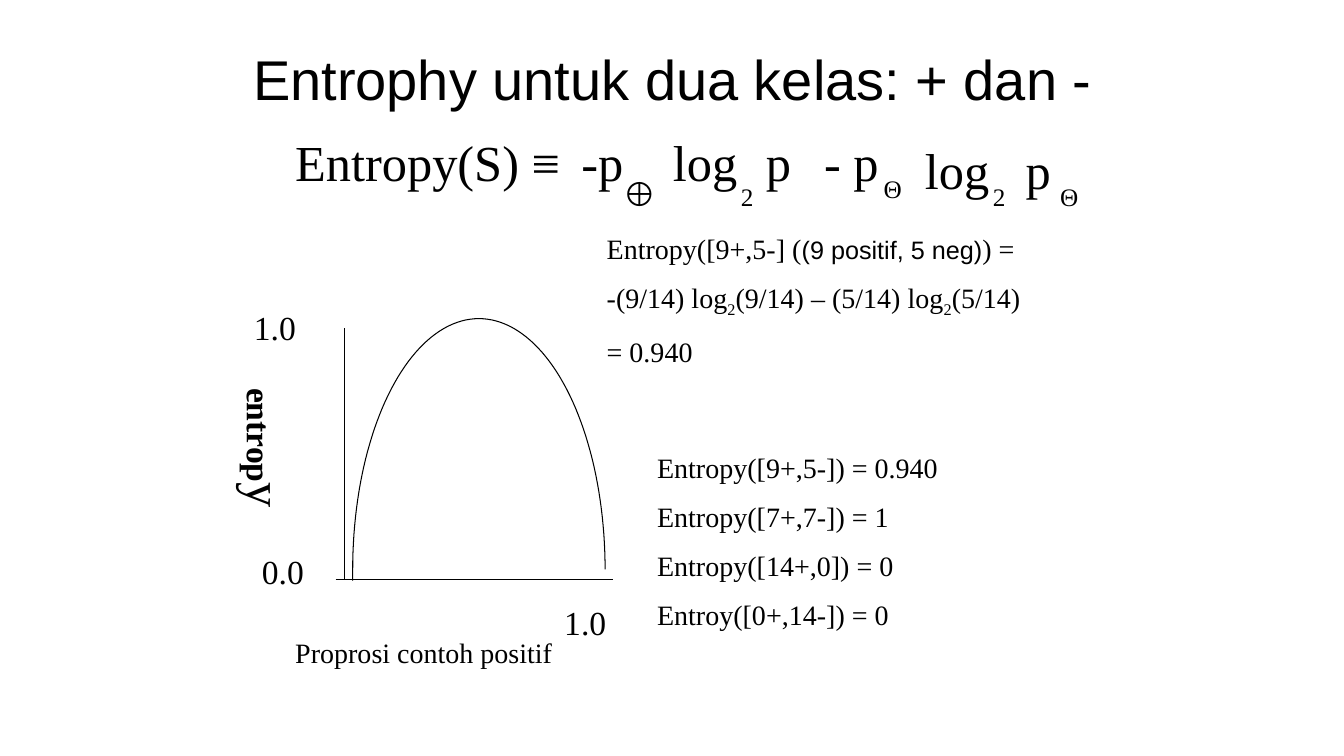
from dataclasses import dataclass
from math import cos, pi, sin

from lxml.etree import SubElement
from pptx import Presentation
from pptx.dml.color import RGBColor
from pptx.enum.shapes import MSO_CONNECTOR
from pptx.enum.text import MSO_ANCHOR as Anchor, PP_ALIGN as Align
from pptx.oxml.ns import qn
from pptx.util import Cm, Pt

COLORS = {"ink": "000000", "paper": "FFFFFF"}
SERIF, SANS = "Times New Roman", "Arial"
INK = RGBColor.from_string(COLORS["ink"])
LINE_WIDTH = Pt(0.75)


@dataclass(frozen=True)
class Run:
    text: str
    size: float | None = None
    font: str | None = None
    bold: bool = False
    subscript: bool = False


@dataclass(frozen=True)
class Label:
    text: str
    left: float
    top: float
    width: float
    height: float
    size: float


@dataclass(frozen=True)
class Axis:
    x1: float
    y1: float
    x2: float
    y2: float


EQUATION = [
    Label("Entropy(S) ≡", 7.19, 3.18, 7.42, 1.78, 36),
    Label("-p", 14.4, 3.18, 2.54, 1.78, 36),
    Label("⊕", 15.44, 4.24, 1.17, 1.27, 24),
    Label("log", 16.71, 3.18, 2.34, 1.78, 36),
    Label("2", 18.42, 4.45, 1.27, 1.02, 18),
    Label("p", 19.05, 3.18, 2.54, 1.78, 36),
    Label("- p", 20.52, 3.18, 2.54, 1.78, 36),
    Label("Θ", 22.02, 4.24, 0.99, 1.02, 18),
    Label("log", 23.06, 3.38, 2.34, 1.78, 36),
    Label("2", 24.77, 4.45, 1.47, 1.02, 18),
    Label("p", 25.6, 3.38, 1.9, 1.78, 36),
    Label("Θ", 26.47, 4.45, 0.99, 1.02, 18),
]
CHART_LABELS = [
    Label("1.0", 6.15, 7.62, 3.61, 1.27, 24),
    Label("0.0", 6.35, 13.77, 3.61, 1.27, 24),
    Label("1.0", 13.97, 15.04, 3.61, 1.27, 24),
    Label("Proprosi contoh positif", 7.19, 15.88, 10.36, 1.09, 20),
]
AXES = [Axis(8.46, 14.6, 15.44, 14.6), Axis(8.69, 14.6, 8.69, 8.26)]
EXAMPLES = [
    "Entropy([9+,5-]) = 0.940",
    "Entropy([7+,7-]) = 1",
    "Entropy([14+,0]) = 0",
    "Entroy([0+,14-]) = 0",
]
CALCULATION = [
    [Run("Entropy([9+,5-] ("), Run("(9 positif, 5 neg)", 18, SANS), Run(") =")],
    [
        Run("-(9/14) log"),
        Run("2", subscript=True),
        Run("(9/14) – (5/14) log"),
        Run("2", subscript=True),
        Run("(5/14)"),
    ],
    [Run("= 0.940")],
]


def add_text(slide, paragraphs: list[list[Run]], left: float, top: float,
             width: float, height: float, *, size: float, font: str = SERIF,
             align: Align = Align.LEFT, anchor: Anchor = Anchor.TOP,
             gap: float = 0, vertical: bool = False) -> None:
    box = slide.shapes.add_textbox(Cm(left), Cm(top), Cm(width), Cm(height))
    frame = box.text_frame
    frame.word_wrap = True
    frame.vertical_anchor = anchor
    if vertical:
        frame._txBody.bodyPr.set("vert", "eaVert")
    for index, runs in enumerate(paragraphs):
        paragraph = frame.add_paragraph() if index else frame.paragraphs[0]
        paragraph.alignment = align
        if index:
            paragraph.space_before = Pt(gap)
        for part in runs:
            run = paragraph.add_run()
            run.text = part.text
            run.font.name = part.font or font
            run.font.size = Pt(part.size or size)
            run.font.bold = part.bold
            run.font.color.rgb = INK
            if part.subscript:
                run.font._element.set("baseline", "-25000")


def add_label(slide, label: Label) -> None:
    add_text(slide, [[Run(label.text)]], label.left, label.top,
             label.width, label.height, size=label.size)


def add_axis(slide, axis: Axis) -> None:
    line = slide.shapes.add_connector(
        MSO_CONNECTOR.STRAIGHT, Cm(axis.x1), Cm(axis.y1), Cm(axis.x2), Cm(axis.y2))
    line.line.color.rgb = INK
    line.line.width = LINE_WIDTH
    SubElement(line._element.spPr, qn("a:effectLst"))


def add_entropy_curve(slide, center_x: float, base_y: float, radius_x: float,
                      radius_y: float, end_y: float, steps: int = 90) -> None:
    angles = [pi * step / steps for step in range(steps + 1)]
    points = [(Cm(center_x + radius_x * cos(a)), Cm(base_y - radius_y * sin(a)))
              for a in angles]
    points.append((Cm(center_x - radius_x), Cm(end_y)))
    builder = slide.shapes.build_freeform(*points[0])
    builder.add_line_segments(points[1:], close=False)
    curve = builder.convert_to_shape()
    curve.shadow.inherit = False
    curve.fill.background()
    curve.line.color.rgb = INK
    curve.line.width = LINE_WIDTH


def main() -> None:
    deck = Presentation()
    deck.slide_width, deck.slide_height = Cm(33.87), Cm(19.05)
    slide = deck.slides.add_slide(deck.slide_layouts[6])
    slide.background.fill.solid()
    slide.background.fill.fore_color.rgb = RGBColor.from_string(COLORS["paper"])

    add_text(slide, [[Run("Entrophy untuk dua kelas: + dan -")]], 5.51, 0.76, 22.86, 2.41,
             size=40, font=SANS, align=Align.CENTER, anchor=Anchor.MIDDLE)
    for axis in AXES:
        add_axis(slide, axis)
    add_entropy_curve(slide, 12.07, 14.35, 3.18, 6.32, 14.63)
    for label in EQUATION + CHART_LABELS:
        add_label(slide, label)
    add_text(slide, [[Run("entrop", bold=True), Run("y", 36)]], 5.56, 9.53, 2.06, 4.88,
             size=24, vertical=True)
    add_text(slide, [[Run(example)] for example in EXAMPLES], 16.31, 11.23, 13.34, 4.9,
             size=20, gap=11)
    add_text(slide, CALCULATION, 15.04, 5.72, 13.77, 3.63, size=20, gap=11)
    deck.save("out.pptx")


if __name__ == "__main__":
    main()
